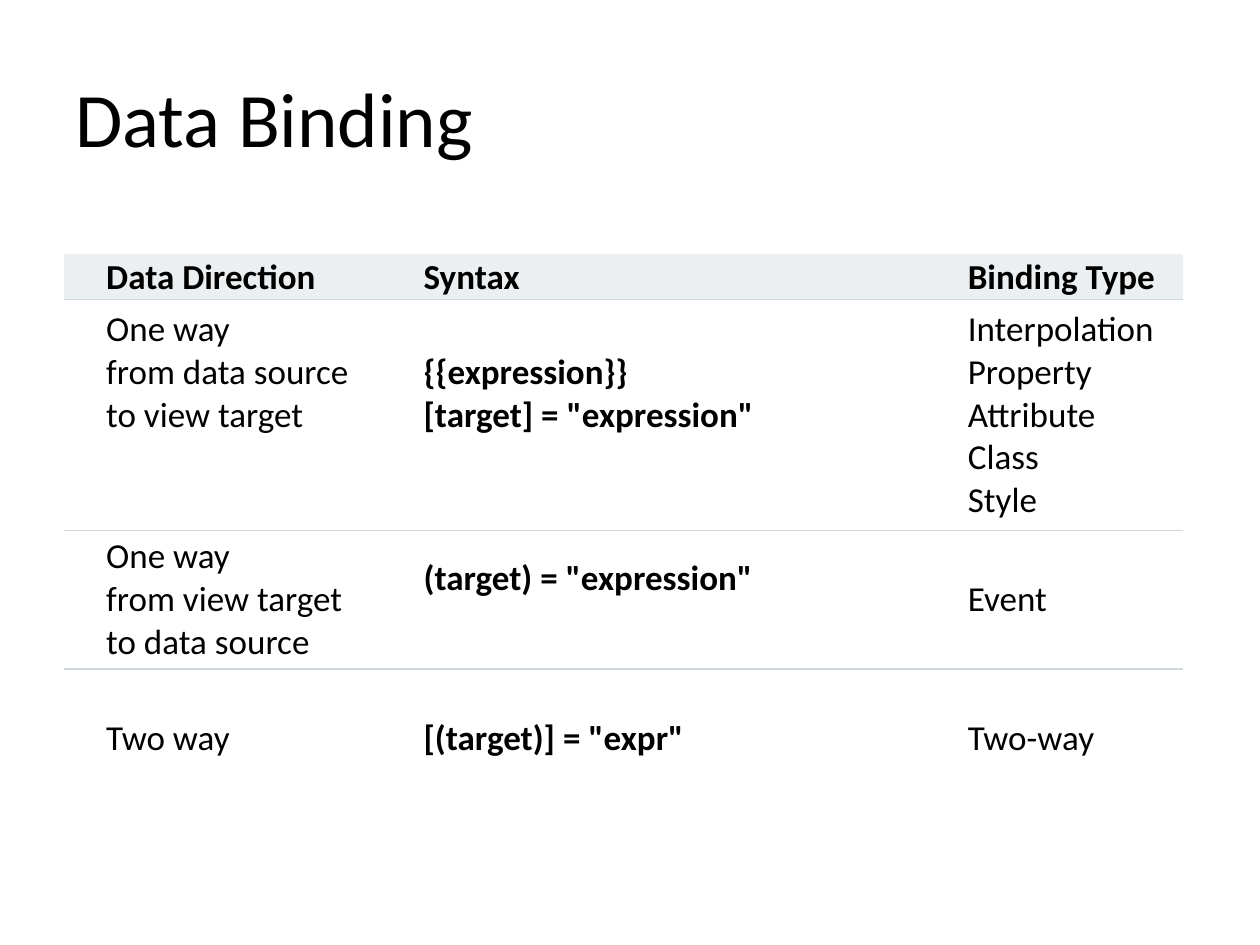
from pptx import Presentation
from pptx.dml.color import RGBColor
from pptx.enum.text import MSO_ANCHOR as Anchor
from pptx.oxml import parse_xml
from pptx.oxml.ns import nsdecls, qn
from pptx.util import Pt

THEME = {
    "font": "Calibri", "title": 44, "body": 20,
    "text": "000000", "header": "ECEFF1", "cell": "FFFFFF", "rule": "CFD8DC",
    "plain_table": "{2D5ABB26-0587-4C30-8999-92F81FD0307C}",
}
LINE = 24.4  # height of one line of body text


def write(frame, lines, size, bold=False):
    for i, line in enumerate(lines):
        para = frame.paragraphs[0] if i == 0 else frame.add_paragraph()
        span = para.add_run()
        span.text = line
        span.font.name = THEME["font"]
        span.font.size = Pt(size)
        span.font.bold = bold
        span.font.color.rgb = RGBColor.from_string(THEME["text"])


def rule_below(cell):
    line = parse_xml(
        f'<a:lnB {nsdecls("a")} w="{Pt(1)}"><a:solidFill>'
        f'<a:srgbClr val="{THEME["rule"]}"/></a:solidFill></a:lnB>')
    cell._tc.get_or_add_tcPr().insert(0, line)


deck = Presentation()
deck.slide_width, deck.slide_height = Pt(720), Pt(540)
page = deck.slides.add_slide(deck.slide_layouts[6])

# Title
box = page.shapes.add_textbox(Pt(36), Pt(21.6), Pt(648), Pt(90))
box.text_frame.word_wrap = True
box.text_frame.vertical_anchor = Anchor.MIDDLE
write(box.text_frame, ["Data Binding"], THEME["title"])

# Binding table: each cell holds its lines, and the free lines above and below
widths = [181.4, 311, 146.9]
heights = [25.9, 131.8, 79.2, 79.9]
rows = [
    [(["Data Direction"], 0, 0), (["Syntax"], 0, 0), (["Binding Type"], 0, 0)],
    [(["One way", "from data source", "to view target"], 0, 2),
     (["{{expression}}", '[target] = "expression"'], 1, 2),
     (["Interpolation", "Property", "Attribute", "Class", "Style"], 0, 0)],
    [(["One way", "from view target", "to data source"], 0, 0),
     (['(target) = "expression"'], 0, 1),
     (["Event"], 0, 0)],
    [(["Two way"], 0, 0), (['[(target)] = "expr"'], 0, 0), (["Two-way"], 0, 0)],
]
table = page.shapes.add_table(
    len(rows), len(widths), Pt(36.7), Pt(145.4), Pt(sum(widths)), Pt(sum(heights))).table
table.horz_banding = False
table._tbl.tblPr.find(qn("a:tableStyleId")).text = THEME["plain_table"]
for column, width in zip(table.columns, widths):
    column.width = Pt(width)

for r, (row, height) in enumerate(zip(rows, heights)):
    table.rows[r].height = Pt(height)
    is_last = r == len(rows) - 1
    padding = 12 if is_last else 0.5
    for c, (lines, above, below) in enumerate(row):
        cell = table.cell(r, c)
        cell.vertical_anchor = Anchor.MIDDLE
        cell.margin_left, cell.margin_right = Pt(24), Pt(0.7)
        cell.margin_top = Pt(padding + above * LINE)
        cell.margin_bottom = Pt(padding + below * LINE)
        cell.fill.solid()
        cell.fill.fore_color.rgb = RGBColor.from_string(THEME["cell" if r else "header"])
        write(cell.text_frame, lines, THEME["body"], bold=r == 0 or c == 1)
        if not is_last:
            rule_below(cell)

deck.save("out.pptx")
